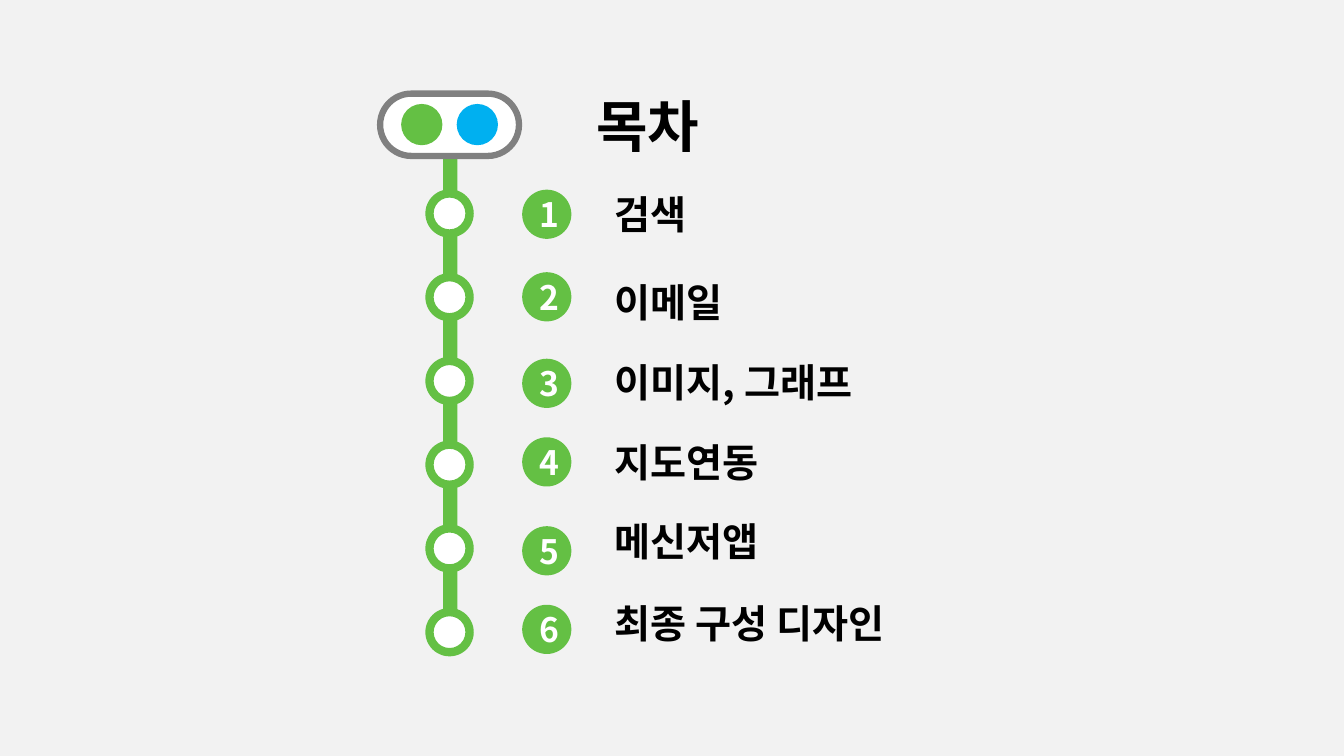
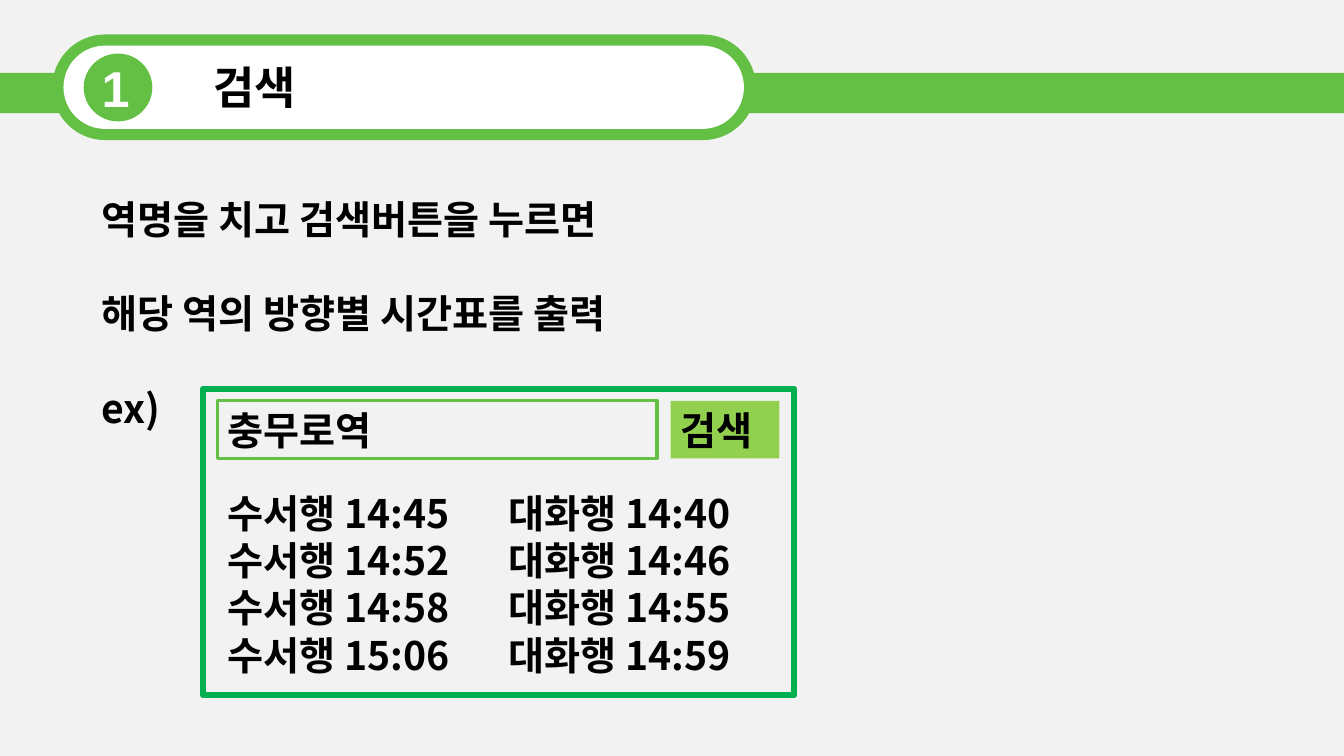
from lxml import etree
from pptx import Presentation
from pptx.dml.color import RGBColor
from pptx.enum.shapes import MSO_SHAPE
from pptx.enum.text import MSO_ANCHOR, MSO_AUTO_SIZE, PP_ALIGN
from pptx.oxml.ns import qn
from pptx.util import Cm, Pt

OVAL, RECTANGLE = MSO_SHAPE.OVAL, MSO_SHAPE.RECTANGLE
ROUNDED, DONUT = MSO_SHAPE.ROUNDED_RECTANGLE, MSO_SHAPE.DONUT
TOP, MIDDLE = MSO_ANCHOR.TOP, MSO_ANCHOR.MIDDLE
LEFT, CENTER = PP_ALIGN.LEFT, PP_ALIGN.CENTER
NO_AUTOFIT = MSO_AUTO_SIZE.NONE

COLORS = {
    "background": "F2F2F2",
    "line": "64C044",
    "frame": "00B050",
    "button": "92D050",
    "blue": "00B0F0",
    "gray": "808080",
    "white": "FFFFFF",
    "black": "000000",
}
KOREAN_FONT = "Noto Sans CJK KR"
LINE_RATIO = 1.207  # line height over text size
TEXT_FRAME = {
    "word_wrap": True,
    "auto_size": NO_AUTOFIT,
    "margin_left": Cm(0.25),
    "margin_right": Cm(0.25),
    "margin_top": Cm(0.13),
    "margin_bottom": Cm(0.13),
}

# Label, top of its number badge, top of its text (cm)
CONTENTS = [
    ("검색", 4.78, 4.65),
    ("이메일", 6.86, 6.88),
    ("이미지, 그래프", 9.04, 8.89),
    ("지도연동", 11.02, 10.92),
    ("메신저앱", 13.26, 12.9),
    ("최종 구성 디자인", 15.24, 14.96),
]
TIMETABLE = {
    "수서행": ["14:45", "14:52", "14:58", "15:06"],
    "대화행": ["14:40", "14:46", "14:55", "14:59"],
}


def color(name):
    return RGBColor.from_string(COLORS[name])


def add_shape(slide, kind, box, fill=None, line=None, width=0, adjustment=None):
    """Add a flat shape; box is left, top, width, height in cm."""
    shape = slide.shapes.add_shape(kind, *map(Cm, box))
    shape.shadow.inherit = False
    if adjustment is not None:
        shape.adjustments[0] = adjustment
    if fill:
        shape.fill.solid()
        shape.fill.fore_color.rgb = color(fill)
    else:
        shape.fill.background()
    if line:
        shape.line.color.rgb = color(line)
        shape.line.width = Pt(width)
    else:
        shape.line.fill.background()
    return shape


def write(shape, lines, size=28, ink="black", font_name=KOREAN_FONT,
          align=LEFT, anchor=TOP, gaps=None):
    """Write bold lines as paragraphs; gaps are the points before each."""
    frame = shape.text_frame
    for name, value in TEXT_FRAME.items():
        setattr(frame, name, value)
    frame.vertical_anchor = anchor
    gaps = gaps or [0] * len(lines)
    for index, (line, gap) in enumerate(zip(lines, gaps)):
        paragraph = frame.add_paragraph() if index else frame.paragraphs[0]
        layout = {
            "alignment": align,
            "line_spacing": Pt(size * LINE_RATIO),
            "space_before": Pt(gap),
            "space_after": Pt(0),
        }
        for name, value in layout.items():
            setattr(paragraph, name, value)
        properties = paragraph._p.get_or_add_pPr()
        properties.set("marL", "0")
        properties.set("indent", "0")
        etree.SubElement(properties, qn("a:buNone"))
        run = paragraph.add_run()
        run.text = line
        for name, value in {"name": font_name, "size": Pt(size), "bold": True}.items():
            setattr(run.font, name, value)
        run.font.color.rgb = color(ink)
        east_asian = etree.SubElement(run._r.get_or_add_rPr(), qn("a:ea"))
        east_asian.set("typeface", KOREAN_FONT)


def place(slide, shape, box):
    """Move a placeholder to its box and bring it to the front."""
    shape.left, shape.top, shape.width, shape.height = map(Cm, box)
    slide.shapes._spTree.append(shape._element)
    return shape


def add_text(slide, box, lines, **style):
    write(slide.shapes.add_textbox(*map(Cm, box)), lines, **style)


def add_route(slide, left, top, stops):
    """Draw the sign with two lamps and the line of stops below it."""
    pitch, ring, disc = 2.11, 1.22, 1.09
    center = left + 1.75
    first_stop = top + 2.41
    add_shape(slide, RECTANGLE, (center - 0.16, top + 1, 0.36, pitch * stops), "line")
    for index in range(stops):
        stop_top = first_stop + index * pitch
        add_shape(slide, OVAL, (center - disc / 2, stop_top + 0.02, disc, disc), "white")
        add_shape(slide, DONUT, (center - ring / 2, stop_top, ring, ring),
                  "line", adjustment=0.172)
    add_shape(slide, ROUNDED, (left, top, 3.5, 1.57), "white", "gray", 4.5, 0.5)
    for offset, lamp in ((0.53, "line"), (1.93, "blue")):
        add_shape(slide, OVAL, (left + offset, top + 0.26, 1.04, 1.04), lamp)


def add_contents_list(slide, left, entries):
    """Number each entry and write the labels in the body placeholder."""
    labels, badge_tops, text_tops = zip(*entries)
    for number, badge_top in enumerate(badge_tops, start=1):
        badge = add_shape(slide, OVAL, (left, badge_top, 1.24, 1.24), "line")
        write(badge, [str(number)], 24, "white", align=CENTER, anchor=MIDDLE)
    steps = [after - before for before, after in zip(text_tops, text_tops[1:])]
    gaps = [0] + [Cm(step).pt - 28 * LINE_RATIO for step in steps]
    body = place(slide, slide.placeholders[1], (left + 2.08, text_tops[0], 9.86, 12))
    write(body, labels, gaps=gaps)


def add_header(slide, left, top, number, title):
    """Draw the band across the slide with its numbered title capsule."""
    add_shape(slide, RECTANGLE, (0, top + 0.97, 33.87, 1.01), "line")
    add_shape(slide, ROUNDED, (left, top, 17.73, 2.66), "line", adjustment=0.5)
    add_shape(slide, ROUNDED, (left + 0.28, top + 0.28, 17.15, 2.1), "white", adjustment=0.5)
    add_shape(slide, OVAL, (left + 0.79, top + 0.48, 1.73, 1.71), "line")
    add_text(slide, (left + 0.99, top + 0.43, 1.37, 1.8), [str(number)],
             size=36, ink="white", font_name="Arial")
    heading = place(slide, slide.shapes.title, (left + 3.81, top + 0.5, 12, 1.63))
    write(heading, [title], 32, font_name="Arial")


def add_search_example(slide, left, top):
    """Draw the search field, its button and the timetable it returns."""
    for index, (direction, times) in enumerate(TIMETABLE.items()):
        add_text(slide, (left + 0.38 + index * 7.08, top + 2.39, 7, 5.05),
                 [f"{direction} {time}" for time in times])
    add_shape(slide, RECTANGLE, (left, top, 14.91, 7.72), line="frame", width=4.5)
    button = add_shape(slide, RECTANGLE, (left + 11.79, top + 0.3, 2.74, 1.45), "button")
    write(button, ["검색"])
    field = add_shape(slide, RECTANGLE, (left + 0.38, top + 0.3, 11.07, 1.45),
                      line="line", width=2.25)
    write(field, ["충무로역"])


def build_contents(presentation):
    slide = presentation.slides.add_slide(presentation.slide_layouts[1])
    title = place(slide, slide.shapes.title, (14.78, 2.16, 3.4, 1.96))
    write(title, ["목차"], 40)
    add_route(slide, 9.58, 2.36, len(CONTENTS))
    add_contents_list(slide, 13.16, CONTENTS)


def build_search(presentation):
    slide = presentation.slides.add_slide(presentation.slide_layouts[1])
    add_header(slide, 1.32, 0.87, 1, CONTENTS[0][0])
    body = place(slide, slide.placeholders[1], (2.31, 4.78, 23.06, 8.64))
    blank = 28 * LINE_RATIO
    write(body, ["역명을 치고 검색버튼을 누르면", "해당 역의 방향별 시간표를 출력", "ex)"],
          gaps=[0, blank, blank])
    add_search_example(slide, 5.11, 9.8)


def main():
    presentation = Presentation()
    presentation.slide_width, presentation.slide_height = Cm(33.87), Cm(19.05)
    background = presentation.slide_master.background.fill
    background.solid()
    background.fore_color.rgb = color("background")
    build_contents(presentation)
    build_search(presentation)
    presentation.save("out.pptx")


if __name__ == "__main__":
    main()
